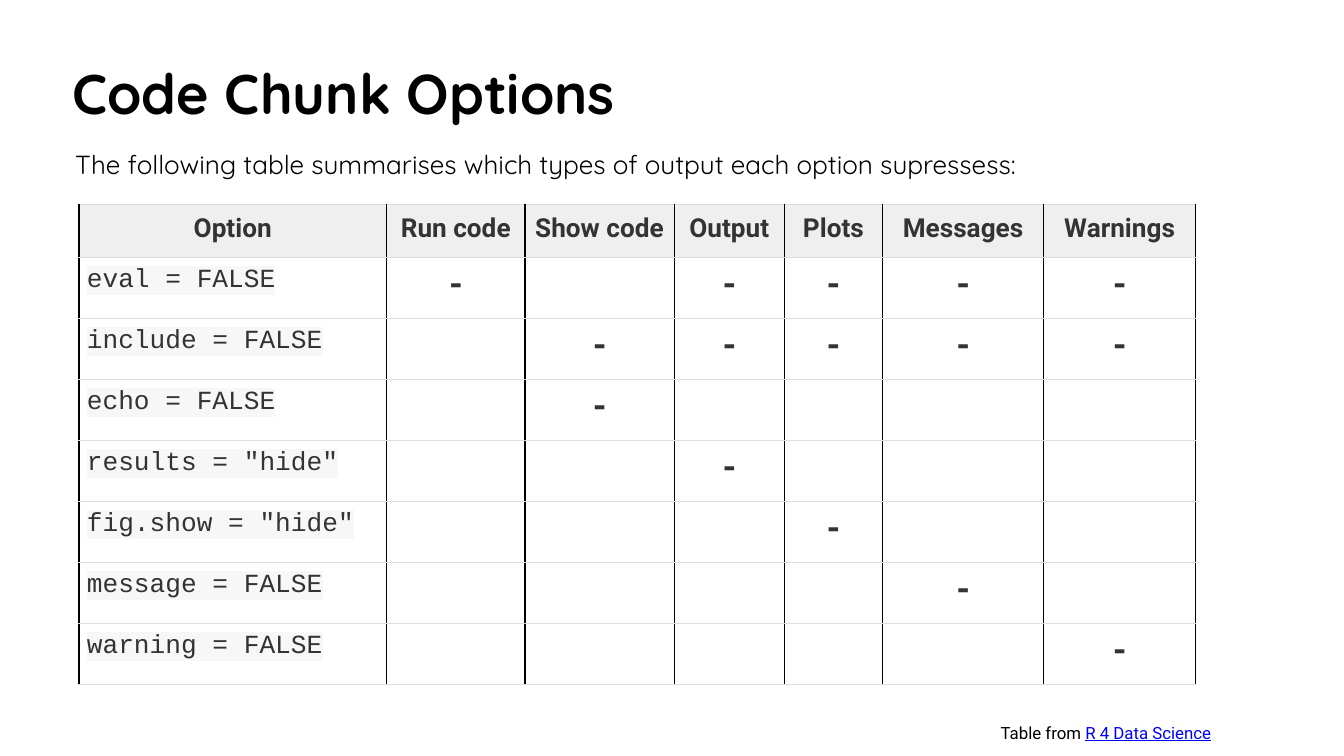
import lxml.etree
import pptx
import pptx.dml.color
import pptx.enum.text
import pptx.oxml.ns
import pptx.util

RGBColor = pptx.dml.color.RGBColor
Pt = pptx.util.Pt
CENTER = pptx.enum.text.PP_ALIGN.CENTER
LEFT = pptx.enum.text.PP_ALIGN.LEFT

BLACK = RGBColor(0x00, 0x00, 0x00)
WHITE = RGBColor(0xFF, 0xFF, 0xFF)
CHARCOAL = RGBColor(0x33, 0x33, 0x33)
RULE_GREY = RGBColor(0xDD, 0xDD, 0xDD)
HEADER_GREY = RGBColor(0xEF, 0xEF, 0xEF)
CODE_GREY = RGBColor(0xF7, 0xF7, 0xF7)
LINK_BLUE = RGBColor(0x00, 0x00, 0xFF)

GRID_UNIT = pptx.util.Inches(0.1)
SLIDE_GRID = (100, 56.25)

TITLE_FORMAT = {"name": "Quicksand", "size": Pt(30), "bold": True}
INTRO_FORMAT = {"name": "Quicksand", "size": Pt(14), "bold": False}
CREDIT_FORMAT = {"name": "Roboto", "size": Pt(9), "bold": False}
HEADER_FORMAT = {"name": "Roboto", "size": Pt(14), "bold": True}
CODE_FORMAT = {"name": "Courier New", "size": Pt(14), "bold": False}
DASH_FORMAT = {"name": "Courier New", "size": Pt(18), "bold": True}
CELL_SPACING = {"line_spacing": 1.15, "space_after": Pt(5)}

COLUMNS = {"Option": 22.9, "Run code": 10.3, "Show code": 11.1, "Output": 8.2,
           "Plots": 7.3, "Messages": 12, "Warnings": 11.3}
HEADER_ROWS, OPTION_ROWS = 3.94, 4.54
SUPPRESSED = {
    "eval = FALSE": ("Run code", "Output", "Plots", "Messages", "Warnings"),
    "include = FALSE": ("Show code", "Output", "Plots", "Messages", "Warnings"),
    "echo = FALSE": ("Show code",),
    'results = "hide"': ("Output",),
    'fig.show = "hide"': ("Plots",),
    "message = FALSE": ("Messages",),
    "warning = FALSE": ("Warnings",),
}


def grid(units):
    """Turn grid units into a slide length."""
    return round(units * GRID_UNIT)


def apply(target, values):
    """Set each attribute named in a dict of format values."""
    for attribute, value in values.items():
        setattr(target, attribute, value)


def add_color(parent, tag, color):
    """Append a DrawingML element that holds one RGB colour."""
    holder = lxml.etree.SubElement(parent, pptx.oxml.ns.qn(tag))
    lxml.etree.SubElement(holder, pptx.oxml.ns.qn("a:srgbClr"), val=str(color))
    return holder


def add_run(paragraph, words, font_format, color, highlight=None):
    """Add a formatted run, with a highlight behind it if one is given."""
    run = paragraph.add_run()
    run.text = words
    apply(run.font, font_format)
    run.font.color.rgb = color
    if highlight is not None:
        properties = run.font._element
        fill = properties.find(pptx.oxml.ns.qn("a:solidFill"))
        fill.addnext(add_color(properties, "a:highlight", highlight))


def add_line(slide, box, inset, pieces):
    """Place one line of text made of (words, format, colour) pieces."""
    frame = slide.shapes.add_textbox(*map(grid, box)).text_frame
    margins = dict.fromkeys(
        ("margin_left", "margin_top", "margin_right", "margin_bottom"), grid(inset))
    apply(frame, {"word_wrap": True, **margins})
    for words, font_format, color in pieces:
        add_run(frame.paragraphs[0], words, font_format, color)


def add_heading(slide, box):
    """Place the title above its introduction."""
    left, top, width, height = box
    add_line(slide, (left + 0.1, top, width * 0.98, height * 0.64), 0.2,
             [("Code Chunk Options", TITLE_FORMAT, BLACK)])
    intro = "The following table summarises which types of output each option supressess:"
    add_line(slide, (left, top + height * 0.61, width, height * 0.39), 0.5,
             [(intro, INTRO_FORMAT, BLACK)])


def draw_borders(cell):
    """Draw black side rules and grey top and bottom rules on a cell."""
    properties = cell._tc.get_or_add_tcPr()
    sides = {"a:lnL": BLACK, "a:lnR": BLACK, "a:lnT": RULE_GREY, "a:lnB": RULE_GREY}
    for position, (tag, color) in enumerate(sides.items()):
        rule = lxml.etree.Element(pptx.oxml.ns.qn(tag), w=str(Pt(0.75)))
        add_color(rule, "a:solidFill", color)
        properties.insert(position, rule)


def fill_cell(cell, words, font_format, highlight, alignment):
    """Give a cell its margins, rules and text."""
    apply(cell, {"margin_left": grid(0.6), "margin_right": grid(0.6),
                 "margin_top": grid(0.3), "margin_bottom": grid(0.3)})
    cell.fill.background()
    draw_borders(cell)
    if words:
        paragraph = cell.text_frame.paragraphs[0]
        apply(paragraph, {"alignment": alignment, **CELL_SPACING})
        add_run(paragraph, words, font_format, CHARCOAL, highlight)


def add_options_table(slide, box):
    """Place the table of options and the output that each one suppresses."""
    frame = slide.shapes.add_table(len(SUPPRESSED) + 1, len(COLUMNS), *map(grid, box))
    options = frame.table
    apply(options, {"first_row": False, "horz_banding": False})
    scale = box[2] / sum(COLUMNS.values())
    for column, share in zip(options.columns, COLUMNS.values()):
        column.width = grid(share * scale)
    stretch = box[3] / (HEADER_ROWS + OPTION_ROWS * len(SUPPRESSED))
    for number, row in enumerate(options.rows):
        row.height = grid((OPTION_ROWS if number else HEADER_ROWS) * stretch)
    for column, heading in enumerate(COLUMNS):
        header = options.cell(0, column)
        fill_cell(header, heading, HEADER_FORMAT, None, CENTER)
        header.fill.solid()
        header.fill.fore_color.rgb = HEADER_GREY
    for row, (option, hidden) in enumerate(SUPPRESSED.items(), start=1):
        fill_cell(options.cell(row, 0), option, CODE_FORMAT, CODE_GREY, LEFT)
        for column, heading in enumerate(list(COLUMNS)[1:], start=1):
            dash = "-" if heading in hidden else ""
            fill_cell(options.cell(row, column), dash, DASH_FORMAT, WHITE, CENTER)


def add_credit(slide, box):
    """Place the source of the table."""
    add_line(slide, box, 0.5, [
        ("Table from ", CREDIT_FORMAT, BLACK),
        ("R 4 Data Science", {**CREDIT_FORMAT, "underline": True}, LINK_BLUE),
    ])


def main():
    """Build the slide and save it."""
    deck = pptx.Presentation()
    deck.slide_width, deck.slide_height = map(grid, SLIDE_GRID)
    slide = deck.slides.add_slide(deck.slide_layouts[6])
    add_heading(slide, (5.1, 4.15, 73.8, 10.5))
    add_options_table(slide, (5.87, 15.2, 83.1, 35.72))
    add_credit(slide, (73.95, 53.25, 23.9, 2.1))
    deck.save("out.pptx")


if __name__ == "__main__":
    main()
